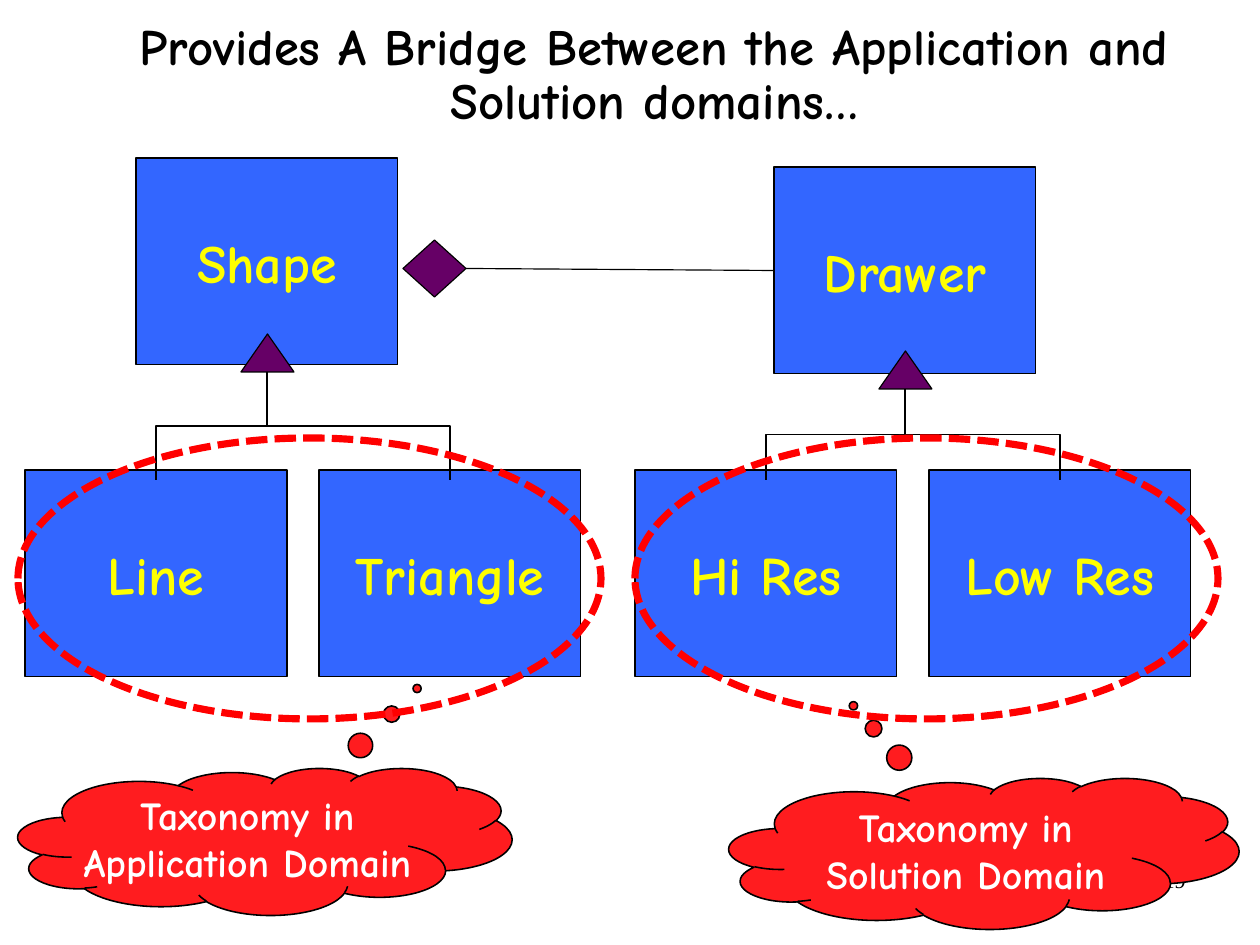
from dataclasses import dataclass

from lxml.etree import SubElement
from pptx import Presentation
from pptx.dml.color import RGBColor
from pptx.enum.dml import MSO_LINE
from pptx.enum.shapes import MSO_CONNECTOR as Link, MSO_SHAPE as Preset
from pptx.enum.text import MSO_ANCHOR as Anchor, PP_ALIGN as Align
from pptx.oxml.ns import qn
from pptx.shapes.autoshape import Shape
from pptx.shapes.connector import Connector
from pptx.util import Emu, Pt

PX = 8000  # EMU in one px
BOX_W, BOX_H = 262, 207
CHILD_TOP, CHILD_STEP = 470, 294
ARROW_W, ARROW_H = 53, 38


@dataclass(frozen=True)
class Theme:
    font: str = "Comic Neue"
    number_font: str = "Times New Roman"
    ink: str = "000000"
    box: str = "3366FF"
    label: str = "FFFF00"
    symbol: str = "660066"
    cloud: str = "FF1C1F"
    cloud_text: str = "FFFFFF"
    oval: str = "FF0000"
    title_size: int = 32
    label_size: int = 34
    cloud_size: int = 25
    number_size: int = 14
    thin: float = 0.75
    cloud_line: float = 1
    thick: float = 4.5


@dataclass(frozen=True)
class Area:
    left: int
    top: int
    width: int
    height: int

    def emu(self) -> list[Emu]:
        return [Emu(n * PX) for n in (self.left, self.top, self.width, self.height)]


@dataclass(frozen=True)
class Taxonomy:
    parent: str
    parent_left: int
    parent_top: int
    arrow_top: int
    children: tuple[str, ...]
    children_left: int
    oval: Area
    cloud: Area
    cloud_tip: tuple[float, float]
    caption: tuple[str, ...]


THEME = Theme()
APPLICATION = Taxonomy("Shape", 136, 158, 334, ("Line", "Triangle"), 25,
                       Area(18, 438, 583, 281), Area(18, 768, 494, 147),
                       (0.308, -1.041), ("Taxonomy in", "Application Domain"))
SOLUTION = Taxonomy("Drawer", 774, 167, 351, ("Hi Res", "Low Res"), 635,
                    Area(635, 438, 583, 281), Area(729, 778, 510, 151),
                    (-0.256, -0.978), ("Taxonomy in", "Solution Domain"))

deck = Presentation()
deck.slide_width, deck.slide_height = Emu(1260 * PX), Emu(945 * PX)
slide = deck.slides.add_slide(deck.slide_layouts[6])


def write(holder: Shape, *lines: str, size: int, color: str, font: str = THEME.font,
          bold: bool = True, align: Align = Align.CENTER, anchor: Anchor = Anchor.MIDDLE,
          wrap: bool = True, spacing: float = 1.0) -> None:
    frame = holder.text_frame
    frame.word_wrap, frame.vertical_anchor = wrap, anchor
    for index, line in enumerate(lines):
        paragraph = frame.add_paragraph() if index else frame.paragraphs[0]
        paragraph.alignment, paragraph.line_spacing = align, spacing
        run = paragraph.add_run()
        run.text = line
        run.font.name, run.font.size, run.font.bold = font, Pt(size), bold
        run.font.color.rgb = RGBColor.from_string(color)


def draw(preset: Preset, area: Area, fill: str | None, line: str = THEME.ink,
         weight: float = THEME.thin) -> Shape:
    shape = slide.shapes.add_shape(preset, *area.emu())
    shape.shadow.inherit = False
    if fill:
        shape.fill.solid()
        shape.fill.fore_color.rgb = RGBColor.from_string(fill)
    else:
        shape.fill.background()
    shape.line.color.rgb = RGBColor.from_string(line)
    shape.line.width = Pt(weight)
    return shape


def connect(kind: Link, x1: int, y1: int, x2: int, y2: int) -> Connector:
    link = slide.shapes.add_connector(kind, Emu(x1), Emu(y1), Emu(x2), Emu(y2))
    link.line.color.rgb = RGBColor.from_string(THEME.ink)
    link.line.width = Pt(THEME.thin)
    SubElement(link.element.spPr, qn("a:effectLst"))
    return link


def connect_down(x1: int, y1: int, x2: int, y2: int) -> None:
    """Elbow that leaves and arrives vertically: a horizontal one, turned."""
    mid_x, mid_y = (x1 + x2) * PX // 2, (y1 + y2) * PX // 2
    half_w, half_h = (y2 - y1) * PX // 2, abs(x2 - x1) * PX // 2
    to_right = x2 > x1
    reach = -half_w if to_right else half_w
    link = connect(Link.ELBOW, mid_x - reach, mid_y - half_h, mid_x + reach, mid_y + half_h)
    turn = 270 if to_right else 90
    link.element.spPr.find(qn("a:xfrm")).set("rot", str(turn * 60000))


def class_box(name: str, left: int, top: int) -> Shape:
    box = draw(Preset.RECTANGLE, Area(left, top, BOX_W, BOX_H), THEME.box)
    write(box, name, size=THEME.label_size, color=THEME.label)
    return box


def hierarchy(tree: Taxonomy) -> Shape:
    parent = class_box(tree.parent, tree.parent_left, tree.parent_top)
    lefts = [tree.children_left + i * CHILD_STEP for i in range(len(tree.children))]
    for name, left in zip(tree.children, lefts):
        class_box(name, left, CHILD_TOP)
    center = tree.parent_left + BOX_W // 2
    draw(Preset.ISOSCELES_TRIANGLE,
         Area(center - ARROW_W // 2, tree.arrow_top, ARROW_W, ARROW_H), THEME.symbol)
    for left in lefts:
        connect_down(center, tree.arrow_top + ARROW_H, left + BOX_W // 2, CHILD_TOP + 10)
    return parent


def annotate(tree: Taxonomy) -> None:
    cloud = draw(Preset.CLOUD_CALLOUT, tree.cloud, THEME.cloud, weight=THEME.cloud_line)
    cloud.adjustments[0], cloud.adjustments[1] = tree.cloud_tip
    write(cloud, *tree.caption, size=THEME.cloud_size, color=THEME.cloud_text, wrap=False)
    oval = draw(Preset.OVAL, tree.oval, None, THEME.oval, THEME.thick)
    oval.line.dash_style = MSO_LINE.SQUARE_DOT


# Page number, behind everything
number = slide.shapes.add_textbox(*Area(903, 861, 294, 65).emu())
write(number, "19", size=THEME.number_size, color=THEME.ink, font=THEME.number_font,
      bold=False, align=Align.RIGHT, anchor=Anchor.TOP)

# Class hierarchies and the bridge between them
hierarchy(APPLICATION)
drawer = hierarchy(SOLUTION)
diamond = draw(Preset.DIAMOND, Area(403, 240, 63, 57), THEME.symbol)
bridge = connect(Link.STRAIGHT, 466 * PX, 268 * PX, 774 * PX, 270 * PX)
bridge.begin_connect(diamond, 3)
bridge.end_connect(drawer, 1)

# Domain clouds and dashed ovals
for taxonomy in (APPLICATION, SOLUTION):
    annotate(taxonomy)

# Title
title = slide.shapes.add_textbox(*Area(69, 17, 1171, 111).emu())
write(title, "Provides A Bridge Between the Application and Solution domains…",
      size=THEME.title_size, color=THEME.ink, anchor=Anchor.TOP, spacing=0.88)

deck.save("out.pptx")
